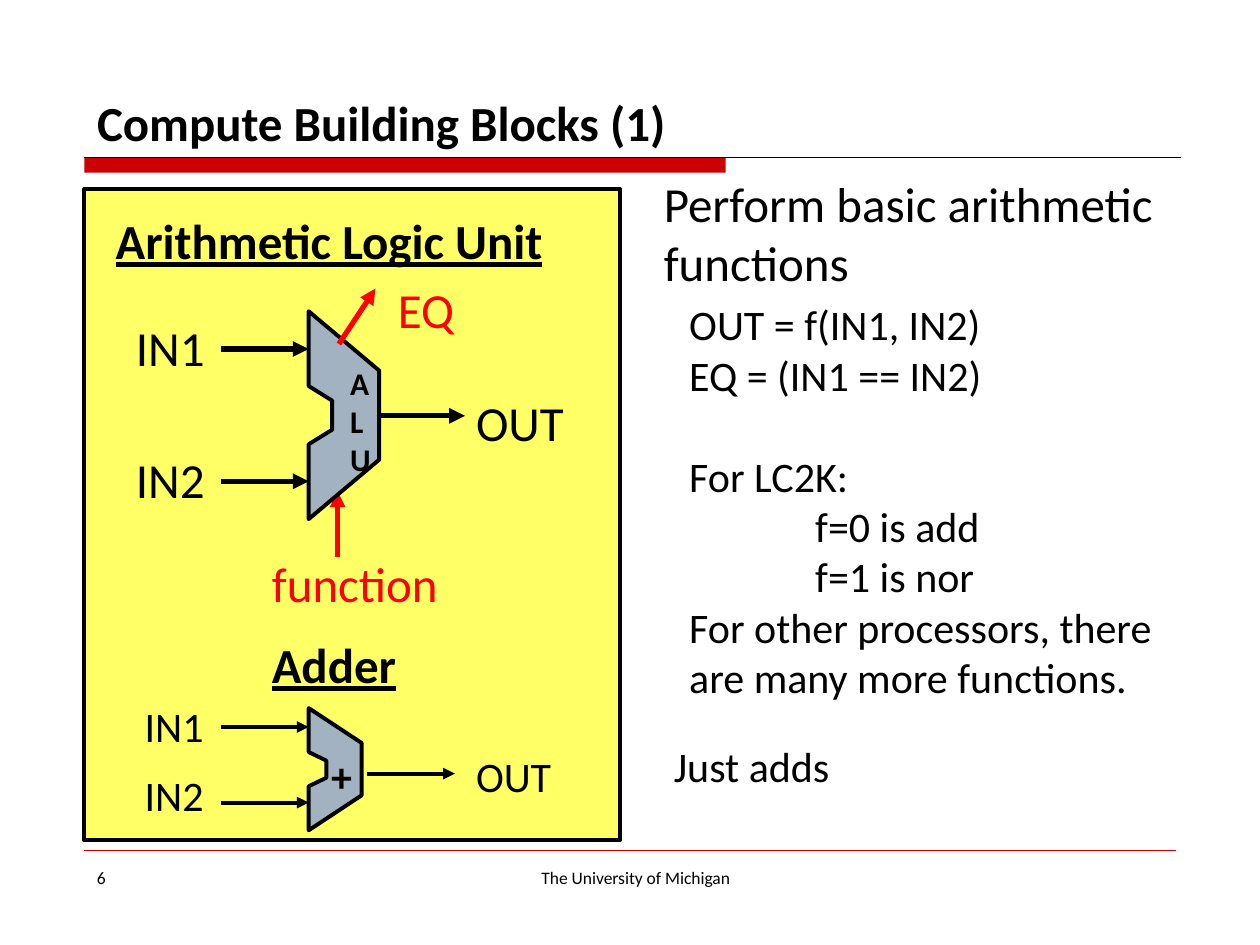
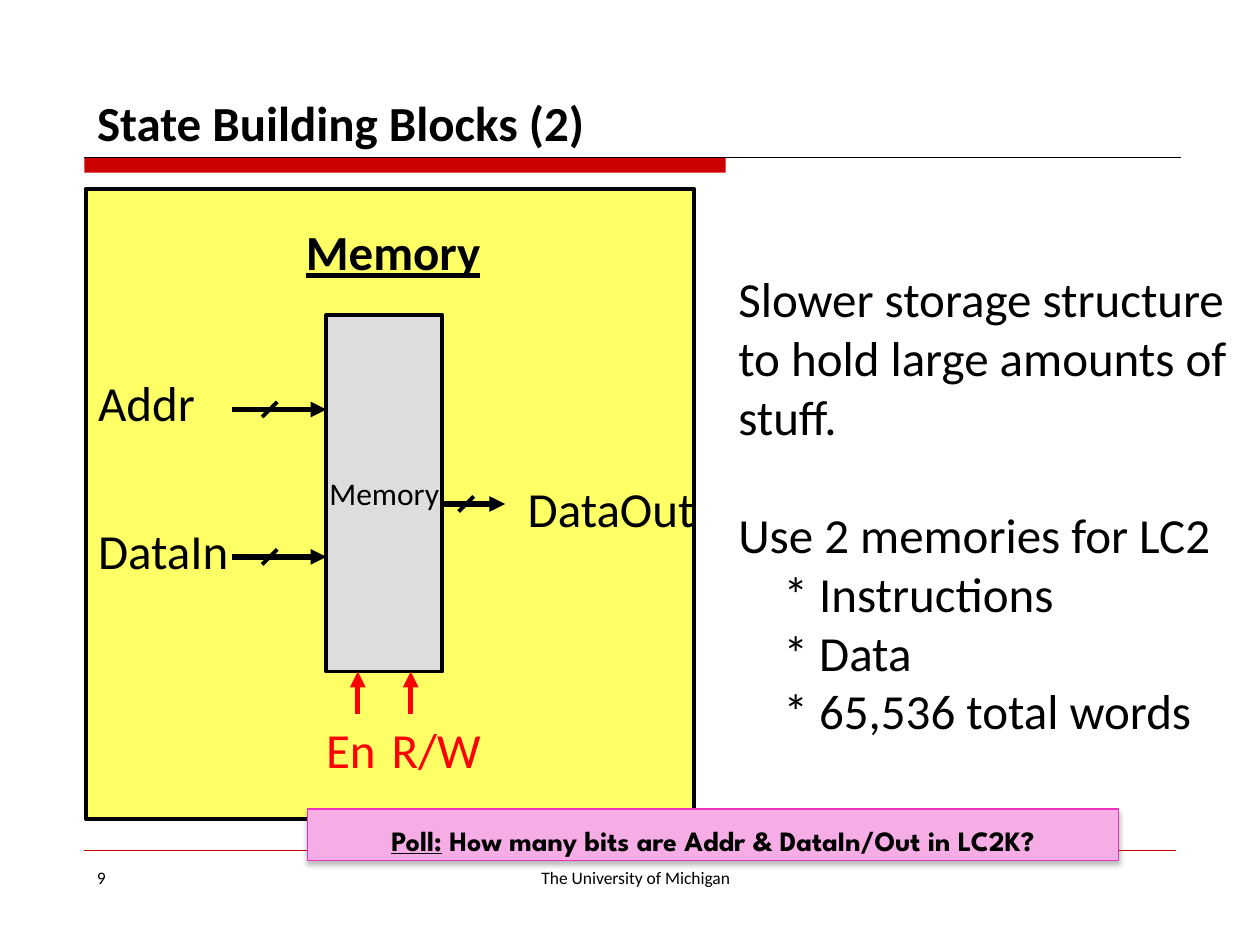
import lxml.etree
import pptx
import pptx.dml.color
import pptx.enum.shapes
import pptx.enum.text
import pptx.oxml.ns
import pptx.util

Inches = pptx.util.Inches
Pt = pptx.util.Pt
ALIGN = pptx.enum.text.PP_ALIGN
ANCHOR = pptx.enum.text.MSO_ANCHOR
BLACK, RED, BAND_RED = "000000", "FF0000", "CC0000"
PANEL_YELLOW, UNIT_BLUE, MEMORY_GRAY = "FFFF66", "A3B2C1", "DDDDDD"
POLL_PINK, POLL_EDGE = "F6ADE5", "E833BF"
FONT, POLL_FONT = "Calibri", "League Spartan"


def rgb(value):
    """Turn a hex string into a colour."""
    return pptx.dml.color.RGBColor.from_string(value)


def sub(parent, tag, **attributes):
    """Append a drawing element to a parent element."""
    return lxml.etree.SubElement(parent, pptx.oxml.ns.qn(tag), attributes)


def add_run(paragraph, text, size, color=BLACK, bold=False, underline=False, font=FONT):
    """Add one formatted run."""
    run = paragraph.add_run()
    run.text = text
    run.font.name = font
    run.font.size = Pt(size)
    run.font.bold = bold
    run.font.underline = underline
    run.font.color.rgb = rgb(color)


def next_paragraph(frame, index):
    """Return the first paragraph of a frame, or add another."""
    return frame.add_paragraph() if index else frame.paragraphs[0]


def label(slide, box, text, size=28, color=BLACK, bold=False, underline=False,
          align=ALIGN.LEFT, wrap=False):
    """Add a text box with one paragraph for each line of text."""
    frame = slide.shapes.add_textbox(*map(Inches, box)).text_frame
    frame.word_wrap = wrap
    for index, line in enumerate(text.split("\n")):
        paragraph = next_paragraph(frame, index)
        paragraph.alignment = align
        add_run(paragraph, line, size, color, bold, underline)


def heading(slide, box, text):
    """Add the underlined name of a building block."""
    label(slide, box, text, bold=True, underline=True)


def paint(shape, fill, edge=BLACK, width=2.25):
    """Give a shape its fill and outline without a shadow."""
    shape.shadow.inherit = False
    shape.fill.solid()
    shape.fill.fore_color.rgb = rgb(fill)
    shape.line.color.rgb = rgb(edge)
    shape.line.width = Pt(width)


def rectangle(slide, box, fill, edge=BLACK, width=2.25):
    """Add a painted rectangle."""
    shape = slide.shapes.add_shape(
        pptx.enum.shapes.MSO_SHAPE.RECTANGLE, *map(Inches, box))
    paint(shape, fill, edge, width)
    return shape


def line(slide, start, end, color=BLACK, width=3.0, arrow=False):
    """Add a straight line, with an arrowhead at its end if wanted."""
    connector = slide.shapes.add_connector(
        pptx.enum.shapes.MSO_CONNECTOR.STRAIGHT, *map(Inches, start + end))
    connector.line.color.rgb = rgb(color)
    connector.line.width = Pt(width)
    properties = connector._element.spPr
    if arrow:
        sub(connector.line._get_or_add_ln(), "a:tailEnd", type="triangle")
    sub(properties, "a:effectLst")


def arrow_right(slide, x, y, length=0.7, width=3.0):
    """Add a black signal arrow pointing right."""
    line(slide, (x, y), (x + length, y), width=width, arrow=True)


def bus(slide, x, y, length, slash):
    """Add a signal arrow crossed by a slash."""
    arrow_right(slide, x, y, length)
    line(slide, (x + slash, y + 0.06), (x + slash + 0.12, y - 0.06), width=2.25)


def notched_unit(slide, left, top, width, height):
    """Draw the notched outline of an arithmetic unit."""
    outline = [(0, 0), (1, 2 / 7), (1, 5 / 7), (0, 1), (0, 0.64),
               (1 / 3, 0.57), (1 / 3, 0.43), (0, 0.36)]
    points = [(Inches(left + x * width), Inches(top + y * height)) for x, y in outline]
    builder = slide.shapes.build_freeform(*points[0])
    builder.add_line_segments(points[1:], close=True)
    paint(builder.convert_to_shape(), UNIT_BLUE)


def base_slide(deck, title, number):
    """Add a slide with title, band and footer."""
    slide = deck.slides.add_slide(deck.slide_layouts[1])
    rectangle(slide, (0.67, 1.25, 5.09, 0.12), BAND_RED).line.fill.background()
    line(slide, (0.67, 1.25), (9.37, 1.25), width=0.5)
    line(slide, (0.67, 6.75), (9.33, 6.75), BAND_RED, 0.25)
    label(slide, (3.17, 6.83, 3.75, 0.27), "The University of Michigan", 10,
          align=ALIGN.CENTER, wrap=True)
    label(slide, (0.67, 6.83, 2.33, 0.52), number, 10, wrap=True)
    heading_area = slide.shapes.title
    place(heading_area, (0.67, 0.33, 9.33, 0.92))
    heading_area.text_frame.vertical_anchor = ANCHOR.BOTTOM
    paragraph = heading_area.text_frame.paragraphs[0]
    paragraph.alignment = ALIGN.LEFT
    add_run(paragraph, title, 28, bold=True)
    return slide


def place(placeholder, box):
    """Move a placeholder and keep its text at full size."""
    placeholder.left, placeholder.top, placeholder.width, placeholder.height = map(Inches, box)
    placeholder.text_frame.auto_size = pptx.enum.text.MSO_AUTO_SIZE.NONE
    placeholder.text_frame.word_wrap = True


def body_list(slide, box, size, items):
    """Fill the body with lines of text, left indent and space before."""
    body = slide.placeholders[1]
    place(body, box)
    for index, (text, indent, before) in enumerate(items):
        paragraph = next_paragraph(body.text_frame, index)
        properties = paragraph._p.get_or_add_pPr()
        properties.set("marL", str(Inches(indent)))
        properties.set("indent", "0")
        sub(properties, "a:buNone")
        paragraph.space_before = Pt(before)
        add_run(paragraph, text, size)


def alu_diagram(slide, left, top):
    """Draw the arithmetic logic unit with its signals."""
    heading(slide, (left + 0.15, top + 0.12, 3.64, 0.57), "Arithmetic Logic Unit")
    for name, y in (("IN1", top + 1.27), ("IN2", top + 2.32)):
        label(slide, (left + 0.31, y - 0.3, 0.75, 0.57), name)
        arrow_right(slide, left + 1.08, y)
    line(slide, (left + 2.01, top + 2.92), (left + 2.01, top + 2.4), RED, arrow=True)
    label(slide, (left + 1.39, top + 2.84, 1.54, 0.57), "function", color=RED)
    arrow_right(slide, left + 2.32, top + 1.8)
    label(slide, (left + 3.01, top + 1.57, 0.9, 0.57), "OUT")
    notched_unit(slide, left + 1.78, top + 0.97, 0.56, 1.65)
    line(slide, (left + 2.02, top + 1.23), (left + 2.31, top + 0.79), RED, arrow=True)
    label(slide, (left + 2.39, top + 0.67, 0.66, 0.57), "EQ", color=RED)
    label(slide, (left + 2.01, top + 1.34, 0.37, 1.01), "A\nL\nU", 18, bold=True)


def adder_diagram(slide, left, top):
    """Draw the adder with its signals."""
    heading(slide, (left + 1.39, top, 1.2, 0.57), "Adder")
    notched_unit(slide, left + 1.78, top + 0.63, 0.42, 0.97)
    label(slide, (left + 1.86, top + 0.92, 0.37, 0.51), "+", 24, bold=True)
    for name, label_y, arrow_y in (("IN1", 0.52, 0.78), ("IN2", 1.07, 1.38)):
        label(slide, (left + 0.38, top + label_y, 0.67, 0.51), name, 24)
        arrow_right(slide, left + 1.08, top + arrow_y, width=2.25)
    arrow_right(slide, left + 2.24, top + 1.15, width=2.25)
    label(slide, (left + 3.01, top + 0.92, 0.8, 0.51), "OUT", 24)


def memory_diagram(slide, left, top):
    """Draw the memory block with its signals."""
    rectangle(slide, (left, top, 4.83, 5), PANEL_YELLOW)
    heading(slide, (left + 1.65, top + 0.21, 1.6, 0.57), "Memory")
    block = rectangle(slide, (left + 1.91, top + 1, 0.92, 2.83), MEMORY_GRAY)
    block.text_frame.word_wrap = False
    block.text_frame.vertical_anchor = ANCHOR.MIDDLE
    block.text_frame.paragraphs[0].alignment = ALIGN.CENTER
    add_run(block.text_frame.paragraphs[0], "Memory", 18)
    for name, width, y in (("Addr", 0.98, top + 1.75), ("DataIn", 1.25, top + 2.92)):
        label(slide, (left, y - 0.34, width, 0.57), name)
        bus(slide, left + 1.16, y, 0.75, 0.24)
    bus(slide, left + 2.83, top + 2.5, 0.5, 0.13)
    label(slide, (left + 3.41, top + 2.25, 1.54, 0.57), "DataOut")
    for name, x, width, arrow_x in (("En", 1.81, 0.6, 2.16), ("R/W", 2.33, 0.92, 2.58)):
        line(slide, (left + arrow_x, top + 4.17), (left + arrow_x, top + 3.83), RED, arrow=True)
        label(slide, (left + x, top + 4.16, width, 0.57), name, color=RED)


def poll_banner(slide, box):
    """Add the poll question with its soft shadow."""
    banner = rectangle(slide, box, POLL_PINK, POLL_EDGE, 0.75)
    effects = banner._element.spPr.find(pptx.oxml.ns.qn("a:effectLst"))
    shadow = sub(effects, "a:outerShdw", blurRad=str(Pt(3)), dist=str(Pt(2)),
                 dir="5400000", rotWithShape="0")
    sub(sub(shadow, "a:srgbClr", val=BLACK), "a:alpha", val="25000")
    frame = banner.text_frame
    frame.word_wrap = True
    frame.vertical_anchor = ANCHOR.TOP
    question = frame.paragraphs[0]
    question.alignment = ALIGN.CENTER
    question.line_spacing = 1.25
    add_run(question, "Poll:", 16, bold=True, underline=True, font=POLL_FONT)
    add_run(question, " How many bits are Addr & DataIn/Out in LC2K?", 16,
            bold=True, font=POLL_FONT)


def compute_slide(deck):
    """Build the slide on compute blocks."""
    slide = base_slide(deck, "Compute Building Blocks (1)", "6")
    body_list(slide, (5.37, 2.32, 4.2, 3.33), 24, [
        ("OUT = f(IN1, IN2)", 0, 0),
        ("EQ = (IN1 == IN2)", 0, 0),
        ("For LC2K:", 0, 29),
        ("f=0 is add", 1, 0),
        ("f=1 is nor", 1, 0),
        ("For other processors, there", 0, 0),
        ("are many more functions.", 0, 0)])
    label(slide, (5.17, 1.33, 4.13, 1.04), "Perform basic arithmetic\nfunctions")
    label(slide, (5.25, 5.83, 4.5, 0.5), "Just adds", 24, wrap=True)
    rectangle(slide, (0.67, 1.5, 4.25, 5.17), PANEL_YELLOW)
    alu_diagram(slide, 0.67, 1.5)
    adder_diagram(slide, 0.67, 4.99)


def state_slide(deck):
    """Build the slide on state blocks."""
    slide = base_slide(deck, "State Building Blocks (2)", "9")
    memory_diagram(slide, 0.68, 1.5)
    body_list(slide, (5.76, 2.08, 4.2, 3.87), 28, [
        ("Slower storage structure", 0, 0),
        ("to hold large amounts of", 0, 0),
        ("stuff.", 0, 0),
        ("Use 2 memories for LC2", 0, 34),
        ("* Instructions", 0.36, 0),
        ("* Data", 0.36, 0),
        ("* 65,536 total words", 0.36, 0)])
    poll_banner(slide, (2.44, 6.42, 6.44, 0.41))


def main():
    """Build and save the deck."""
    deck = pptx.Presentation()
    deck.slide_width, deck.slide_height = Inches(10), Inches(7.5)
    compute_slide(deck)
    state_slide(deck)
    deck.save("out.pptx")


if __name__ == "__main__":
    main()
